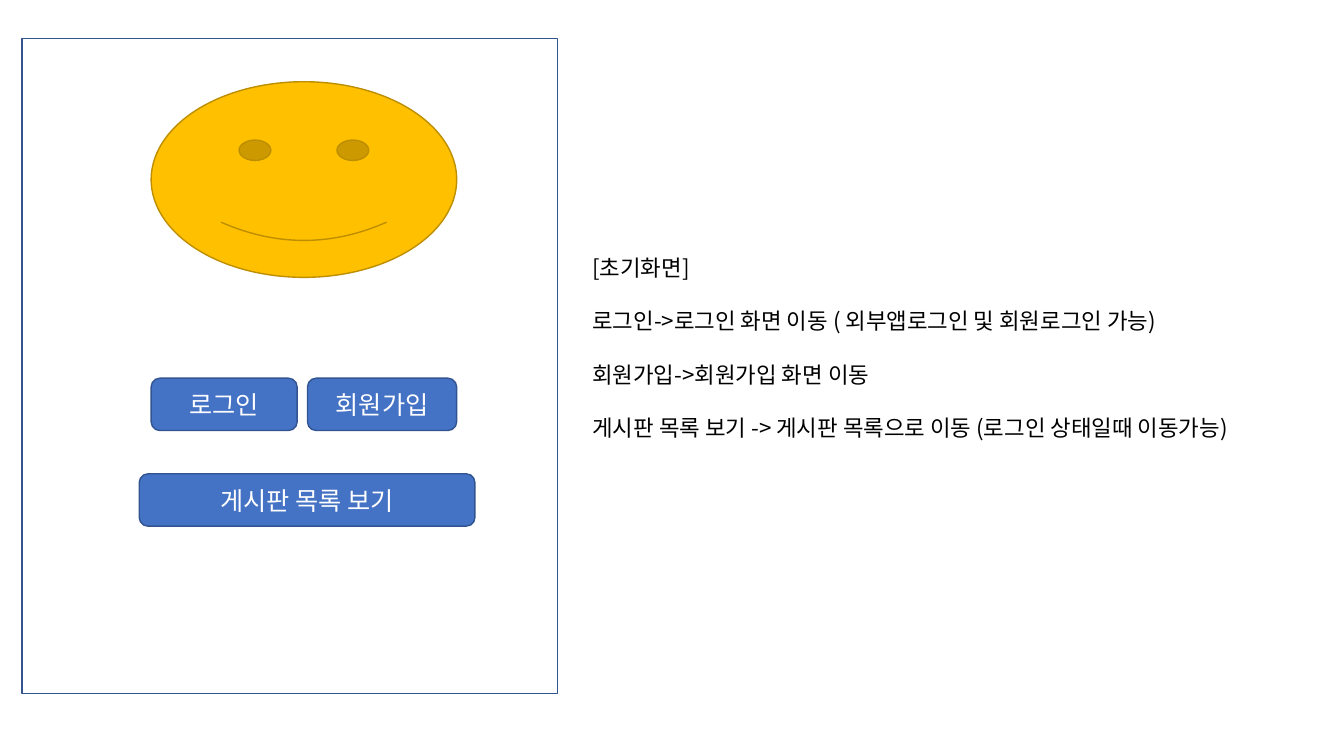
from lxml.etree import SubElement
from pptx import Presentation
from pptx.dml.color import RGBColor
from pptx.enum.shapes import MSO_SHAPE
from pptx.enum.text import MSO_ANCHOR, MSO_AUTO_SIZE, PP_ALIGN
from pptx.oxml.ns import qn
from pptx.util import Cm, Pt

WHITE = RGBColor(0xFF, 0xFF, 0xFF)
BLACK = RGBColor(0x00, 0x00, 0x00)
BLUE = RGBColor(0x44, 0x72, 0xC4)
DARK_BLUE = RGBColor(0x32, 0x54, 0x91)
YELLOW = RGBColor(0xFF, 0xC0, 0x00)
DARK_YELLOW = RGBColor(0xBD, 0x8E, 0x00)
FONT = "Noto Sans CJK KR"

BUTTON_HEIGHT = 1.32
BUTTONS = [
    ("로그인", 3.81, 9.53, 3.68),
    ("회원가입", 7.75, 9.53, 3.76),
    ("게시판 목록 보기", 3.51, 11.94, 8.46),
]
DESCRIPTION = [
    "[초기화면]",
    "로그인->로그인 화면 이동 ( 외부앱로그인 및 회원로그인 가능)",
    "회원가입->회원가입 화면 이동",
    "게시판 목록 보기 -> 게시판 목록으로 이동 (로그인 상태일때 이동가능)",
]
LINE_PITCH = Pt(19.1)


def format_text(paragraph, size, color):
    """Set Latin and East Asian font, size and colour of every run."""
    for run in paragraph.runs:
        run.font.name = FONT
        run.font.size = Pt(size)
        run.font.color.rgb = color
        SubElement(run.font._element, qn("a:ea"), typeface=FONT)


def add_outlined_shape(shapes, kind, box, fill, line):
    """Add a filled preset shape with a thin outline; box is in cm."""
    shape = shapes.add_shape(kind, *map(Cm, box))
    shape.shadow.inherit = False
    shape.fill.solid()
    shape.fill.fore_color.rgb = fill
    shape.line.color.rgb = line
    shape.line.width = Pt(1)
    return shape


def add_button(shapes, label, left, top, width):
    """Add a rounded blue button with a centred label."""
    button = add_outlined_shape(shapes, MSO_SHAPE.ROUNDED_RECTANGLE,
                                (left, top, width, BUTTON_HEIGHT), BLUE, DARK_BLUE)
    button.text_frame.text = label
    button.text_frame.vertical_anchor = MSO_ANCHOR.MIDDLE
    paragraph = button.text_frame.paragraphs[0]
    paragraph.alignment = PP_ALIGN.CENTER
    format_text(paragraph, 18, WHITE)


def add_description(shapes, lines, box):
    """Add the screen notes, one spaced paragraph for each line."""
    text_frame = shapes.add_textbox(*map(Cm, box)).text_frame
    text_frame.word_wrap = False
    text_frame.auto_size = MSO_AUTO_SIZE.SHAPE_TO_FIT_TEXT
    text_frame.text = "\n".join(lines)
    for index, paragraph in enumerate(text_frame.paragraphs):
        paragraph.line_spacing = LINE_PITCH
        if index:
            paragraph.space_before = LINE_PITCH
        format_text(paragraph, 16, BLACK)


def main():
    """Build the start screen mock-up and its notes."""
    presentation = Presentation()
    presentation.slide_width = Cm(33.87)
    presentation.slide_height = Cm(19.05)
    slide = presentation.slides.add_slide(presentation.slide_layouts[6])

    screen = slide.shapes.add_group_shape().shapes
    add_outlined_shape(screen, MSO_SHAPE.RECTANGLE,
                       (0.56, 0.97, 13.49, 16.51), WHITE, DARK_BLUE)
    for button in BUTTONS:
        add_button(screen, *button)
    add_outlined_shape(screen, MSO_SHAPE.SMILEY_FACE,
                       (3.81, 2.06, 7.7, 4.93), YELLOW, DARK_YELLOW)

    add_description(slide.shapes, DESCRIPTION, (14.68, 6.27, 18.69, 5.05))
    presentation.save("out.pptx")


main()
